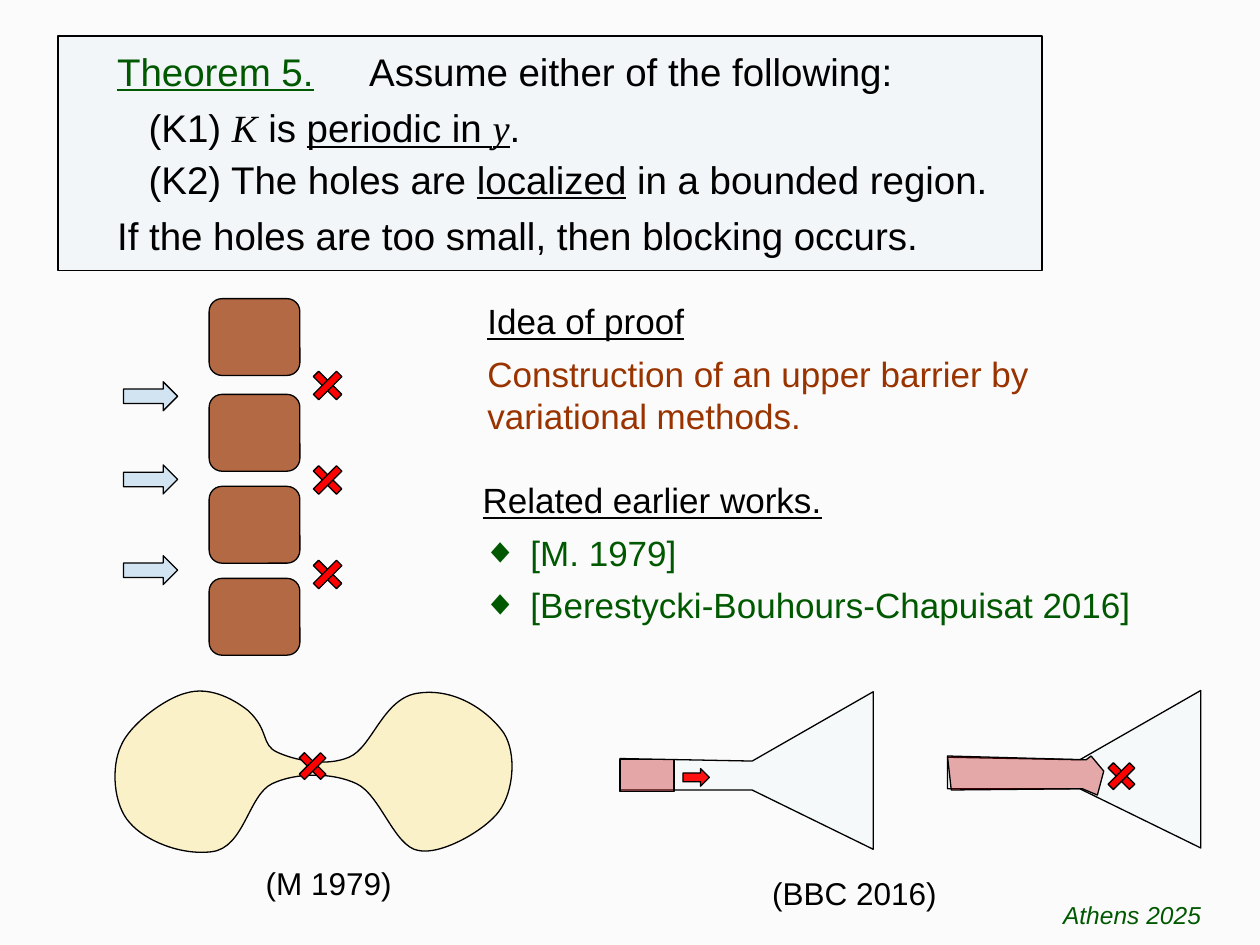
from collections import namedtuple

from lxml.etree import SubElement
from pptx import Presentation
from pptx.dml.color import RGBColor
from pptx.enum.shapes import MSO_SHAPE
from pptx.enum.text import MSO_ANCHOR, MSO_AUTO_SIZE, PP_ALIGN
from pptx.oxml.ns import qn
from pptx.util import Inches, Pt

SLIDE_WIDTH, SLIDE_HEIGHT = Inches(10), Inches(7.5)
COLUMN, ROW = SLIDE_WIDTH / 100, SLIDE_HEIGHT / 75

BACKGROUND = RGBColor(0xFB, 0xFB, 0xFB)
BLACK = RGBColor(0x00, 0x00, 0x00)
GREEN = RGBColor(0x00, 0x58, 0x00)
BROWN = RGBColor(0x99, 0x33, 0x00)
BLUE = RGBColor(0x00, 0x70, 0xC0)
RED = RGBColor(0xFF, 0x00, 0x00)
CRIMSON = RGBColor(0xC0, 0x00, 0x00)
YELLOW = RGBColor(0xFF, 0xCC, 0x00)
PALE_CYAN = RGBColor(0xBB, 0xE0, 0xE3)

UNDERLINED = {"underline": True}
VARIABLE = {"name": "Times New Roman", "italic": True}

FUNNEL = [(0, 5.3), (10.5, 5.5), (20.1, 0), (20.1, 12.5), (10.5, 7.8), (0, 7.8)]
BLOCKED_FRONT = [(0, 5.2), (11, 5.5), (11.4, 5.2), (12.4, 6.4), (11.9, 8.3), (10.7, 7.8), (0.3, 7.9)]
DUMBBELL_START = (0.5, 4.4)
DUMBBELL_CURVES = [
    [(1.2, 2.7), (4, 0.6), (5.7, 0.2)],
    [(7.4, -0.3), (9.2, 0.5), (10.6, 1.6)],
    [(12.3, 3.2), (11.6, 4.3), (12.9, 4.9)],
    [(14.2, 5.5), (16.7, 6.1), (18.6, 5.3)],
    [(20.5, 4.5), (21.3, 0.5), (24.2, 0.2)],
    [(27.2, -0.2), (29.8, 1.8), (30.9, 3.4)],
    [(31.9, 5), (31.7, 8), (30.5, 9.6)],
    [(29.4, 11.1), (25.9, 13.1), (24.1, 12.7)],
    [(22.2, 12.4), (21.1, 8.3), (19.2, 7.4)],
    [(17.3, 6.5), (14.4, 6.5), (12.5, 7.4)],
    [(10.6, 8.3), (10.3, 12.5), (7.7, 12.8)],
    [(5.2, 13.1), (2.4, 11.9), (1.2, 10.5)],
    [(-0.1, 9.1), (-0.3, 6.1), DUMBBELL_START],
]

Box = namedtuple("Box", "left top width height")


def inside(box, left, top, width, height):
    """Return a part of a box, offset in columns and rows."""
    return Box(box.left + left, box.top + top, width, height)


def to_emu(box):
    """Turn grid columns and rows into lengths."""
    return [round(n * unit) for n, unit in zip(box, (COLUMN, ROW, COLUMN, ROW))]


def apply(target, values):
    """Set every attribute named in a dict."""
    for attribute, value in values.items():
        setattr(target, attribute, value)


def paint(shape, color, opacity=100):
    """Give a shape a translucent fill and a thin black outline."""
    shape.shadow.inherit = False
    shape.fill.solid()
    shape.fill.fore_color.rgb = color
    if opacity < 100:
        tint = shape._element.spPr.find(qn("a:solidFill"))[0]
        SubElement(tint, qn("a:alpha"), val=str(opacity * 1000))
    shape.line.color.rgb = BLACK
    shape.line.width = Pt(0.75)
    return shape


def add_preset(slide, preset, box, color, opacity=100):
    """Place a painted preset shape."""
    return paint(slide.shapes.add_shape(preset, *to_emu(box)), color, opacity)


def add_outline(slide, box, points, color, opacity):
    """Draw a closed outline whose points are offsets within a box."""
    corners = [to_emu(inside(box, x, y, 0, 0))[:2] for x, y in points]
    builder = slide.shapes.build_freeform(*corners[0], scale=1.0)
    builder.add_line_segments(corners[1:], close=True)
    return paint(builder.convert_to_shape(), color, opacity)


def add_curved_outline(slide, box, start, curves, color, opacity):
    """Draw a closed outline of cubic curves that fills a box."""
    frame = [(0, 0), (box.width, 0), (box.width, box.height), (0, box.height)]
    shape = add_outline(slide, box, frame, color, opacity)
    outline = next(shape._element.iter(qn("a:path")))
    for segment in list(outline):
        outline.remove(segment)
    for tag, points in [("a:moveTo", [start])] + [("a:cubicBezTo", curve) for curve in curves]:
        segment = SubElement(outline, qn(tag))
        for x, y in points:
            SubElement(segment, qn("a:pt"), x=str(round(x * COLUMN)), y=str(round(y * ROW)))
    SubElement(outline, qn("a:close"))


def add_cross(slide, x, y, length=2.6, thickness=0.6):
    """Mark a blocked spot, given its centre, with two crossed bars."""
    for angle in (45, 135):
        bar = Box(x - length / 2, y - thickness / 2, length, thickness)
        add_preset(slide, MSO_SHAPE.RECTANGLE, bar, RED).rotation = angle


def write(frame, lines, size, align=PP_ALIGN.LEFT):
    """Fill a text frame with (space before, color, runs) lines."""
    apply(frame, {"word_wrap": True, "auto_size": MSO_AUTO_SIZE.NONE, "vertical_anchor": MSO_ANCHOR.TOP})
    for index, (space, color, runs) in enumerate(lines):
        paragraph = frame.paragraphs[0] if index == 0 else frame.add_paragraph()
        apply(paragraph, {"alignment": align, "space_before": Pt(space)})
        for text, style in runs:
            run = paragraph.add_run()
            run.text = text
            apply(run.font, {"name": "Arial", "size": Pt(size), **style})
            run.font.color.rgb = color
    return frame.paragraphs


def add_text(slide, box, lines, size, align=PP_ALIGN.LEFT):
    """Place a text box."""
    return write(slide.shapes.add_textbox(*to_emu(box)).text_frame, lines, size, align)


def place(placeholder, box):
    """Move a placeholder to a box."""
    apply(placeholder, dict(zip(Box._fields, to_emu(box))))
    return placeholder.text_frame


def indent(paragraph, margin, first_line=0):
    """Set the indents of a paragraph and return its properties."""
    properties = paragraph._p.get_or_add_pPr()
    properties.set("marL", str(margin))
    properties.set("indent", str(first_line))
    return properties


def add_theorem(slide, box):
    """Set the theorem in the title, on a framed panel."""
    panel = add_preset(slide, MSO_SHAPE.RECTANGLE, box, BLUE, 3)
    slide.shapes._spTree.insert(2, panel._element)
    lines = [
        (0, BLACK, [("Theorem 5.", UNDERLINED), ("\tAssume either of the following:", {})]),
        (6, BLACK, [("(K1) ", {}), ("K", VARIABLE), (" is ", {}), ("periodic in ", UNDERLINED),
                    ("y", {**VARIABLE, **UNDERLINED}), (".", {})]),
        (3, BLACK, [("(K2) The holes are ", {}), ("localized", UNDERLINED), (" in a bounded region.", {})]),
        (6, BLACK, [("If the holes are too small, then blocking occurs.", {})]),
    ]
    frame = place(slide.shapes.title, inside(box, 3.7, 0.4, 73.2, 17.9))
    heading, *conditions, conclusion = write(frame, lines, 22)
    heading.runs[0].font.color.rgb = GREEN
    tabs = SubElement(indent(heading, 0), qn("a:tabLst"))
    SubElement(tabs, qn("a:tab"), pos=str(Inches(1.71)), algn="l")
    for condition in conditions:
        indent(condition, Inches(0.25))
    indent(conclusion, 0)


def add_proof_idea(slide, box):
    """Write the idea of the proof."""
    add_text(slide, box, [
        (0, BLACK, [("Idea of proof", UNDERLINED)]),
        (6, BROWN, [("Construction of an upper barrier by variational methods.", {})]),
    ], 20)


def add_related_works(slide, box):
    """List the earlier works in the body placeholder."""
    heading, *works = write(place(slide.placeholders[1], box), [
        (0, BLACK, [("Related earlier works.", UNDERLINED)]),
        (6, GREEN, [("[M. 1979]", {})]),
        (6, GREEN, [("[Berestycki-Bouhours-Chapuisat 2016]", {})]),
    ], 20)
    SubElement(indent(heading, 0), qn("a:buNone"))
    for work in works:
        properties = indent(work, Inches(0.38), -Inches(0.38))
        SubElement(properties, qn("a:buFont"), typeface="Arial")
        SubElement(properties, qn("a:buChar"), char="◆")


def add_wall(slide, box):
    """Draw the wall with holes, the incoming arrows and the blocked exits."""
    for top in (0, 7.6, 14.9, 22.2):
        add_preset(slide, MSO_SHAPE.ROUNDED_RECTANGLE, inside(box, 6.8, top, 7.2, 6.1), BROWN, 73)
    for top in (6.6, 13.2, 20.4):
        arrow = add_preset(slide, MSO_SHAPE.LEFT_ARROW, inside(box, 0, top, 4.3, 2.3), BLUE, 16)
        arrow.rotation = 180
    for hole in range(3):
        add_cross(slide, box.left + 16.2, box.top + 6.9 + 7.5 * hole)


def add_dumbbell(slide, box):
    """Draw the dumbbell domain with its blocked neck and caption."""
    add_curved_outline(slide, box, DUMBBELL_START, DUMBBELL_CURVES, YELLOW, 20)
    add_cross(slide, box.left + 15.7, box.top + 6, 2.4)
    add_text(slide, inside(box, 11, 13.3, 13.1, 4), [(0, BLACK, [("(M 1979)", {})])], 18)


def add_open_funnel(slide, box):
    """Draw the funnel with an advancing front and its caption."""
    add_outline(slide, box, FUNNEL, PALE_CYAN, 7)
    add_preset(slide, MSO_SHAPE.RECTANGLE, inside(box, 0, 5.4, 4.3, 2.5), CRIMSON, 33)
    add_preset(slide, MSO_SHAPE.RIGHT_ARROW, inside(box, 5, 6.1, 2.1, 1.4), RED, 93)
    add_text(slide, inside(box, 11.1, 14, 17.3, 4), [(0, BLACK, [("(BBC 2016)", {})])], 18)


def add_blocked_funnel(slide, box):
    """Draw the funnel where the front stops."""
    add_outline(slide, box, FUNNEL, PALE_CYAN, 7)
    add_outline(slide, box, BLOCKED_FRONT, CRIMSON, 32)
    add_cross(slide, box.left + 13.8, box.top + 6.8, 2.4)


def add_footer(slide, box):
    """Write the place and year."""
    add_text(slide, box, [(0, GREEN, [("Athens 2025", {"italic": True})])], 14, PP_ALIGN.CENTER)


def main():
    """Build the slide and save it."""
    deck = Presentation()
    apply(deck, {"slide_width": SLIDE_WIDTH, "slide_height": SLIDE_HEIGHT})
    slide = deck.slides.add_slide(deck.slide_layouts[1])
    slide.background.fill.solid()
    slide.background.fill.fore_color.rgb = BACKGROUND
    add_theorem(slide, Box(4.6, 2.87, 78.1, 18.6))
    add_proof_idea(slide, Box(37.7, 23.3, 46.2, 11.9))
    add_wall(slide, Box(9.8, 23.7, 17.5, 28.3))
    add_blocked_funnel(slide, Box(75.2, 54.8, 20.1, 12.5))
    add_dumbbell(slide, Box(9.1, 54.8, 31.5, 12.8))
    add_open_funnel(slide, Box(49.2, 54.9, 20.1, 12.5))
    add_footer(slide, Box(81.5, 70.9, 16.7, 2.8))
    add_related_works(slide, Box(37.3, 37.5, 57.6, 12.8))
    deck.save("out.pptx")


if __name__ == "__main__":
    main()
